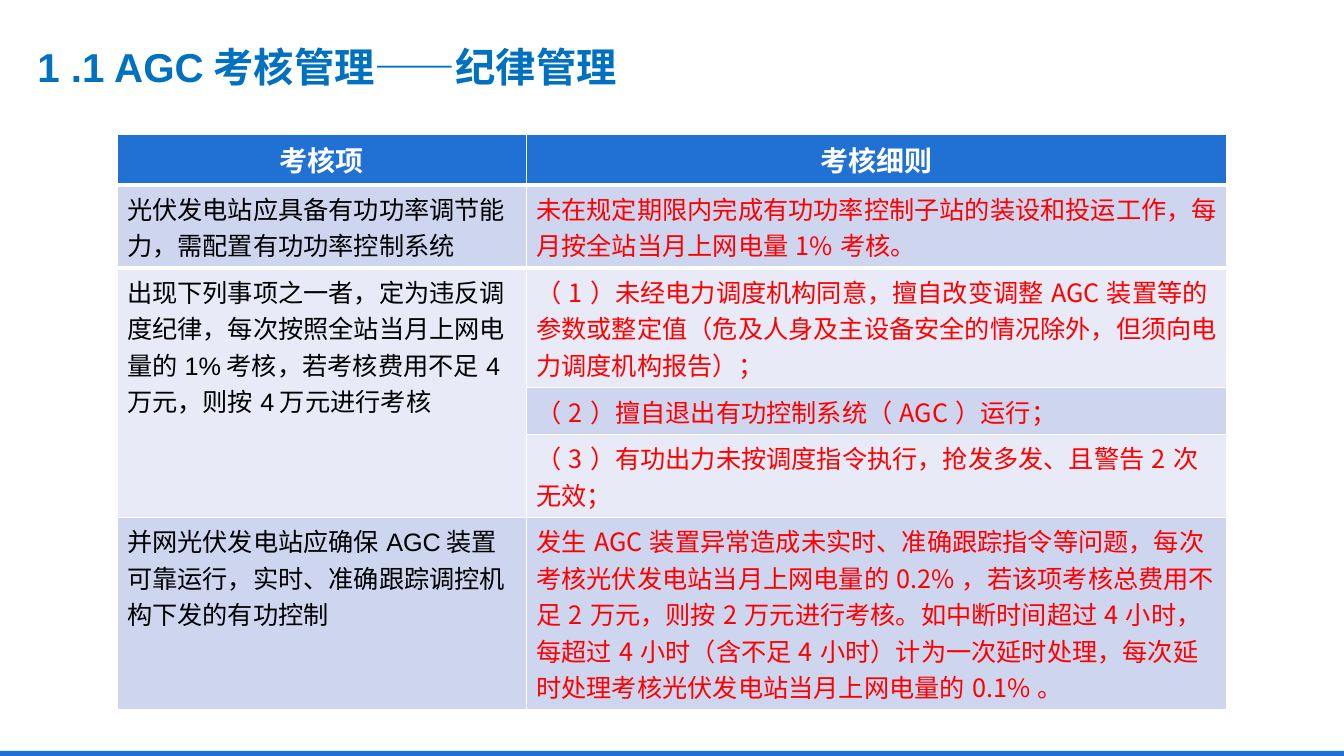
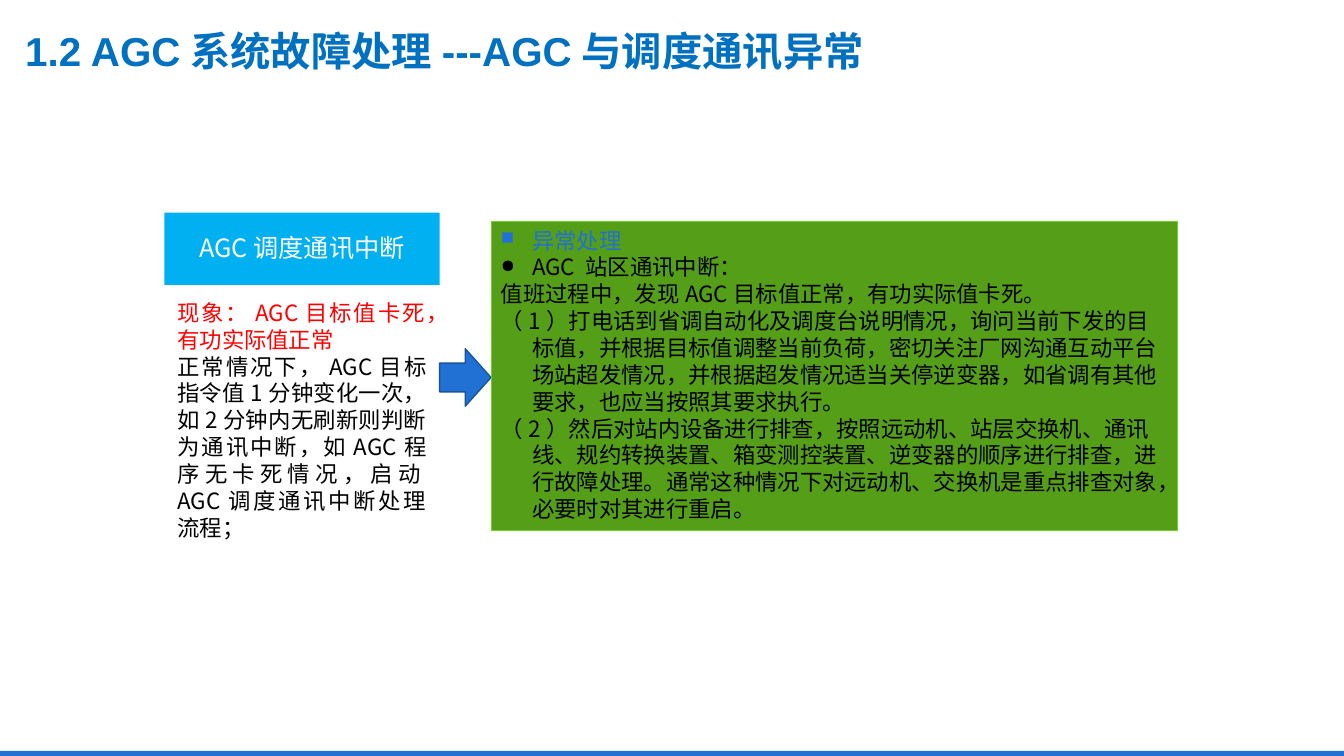
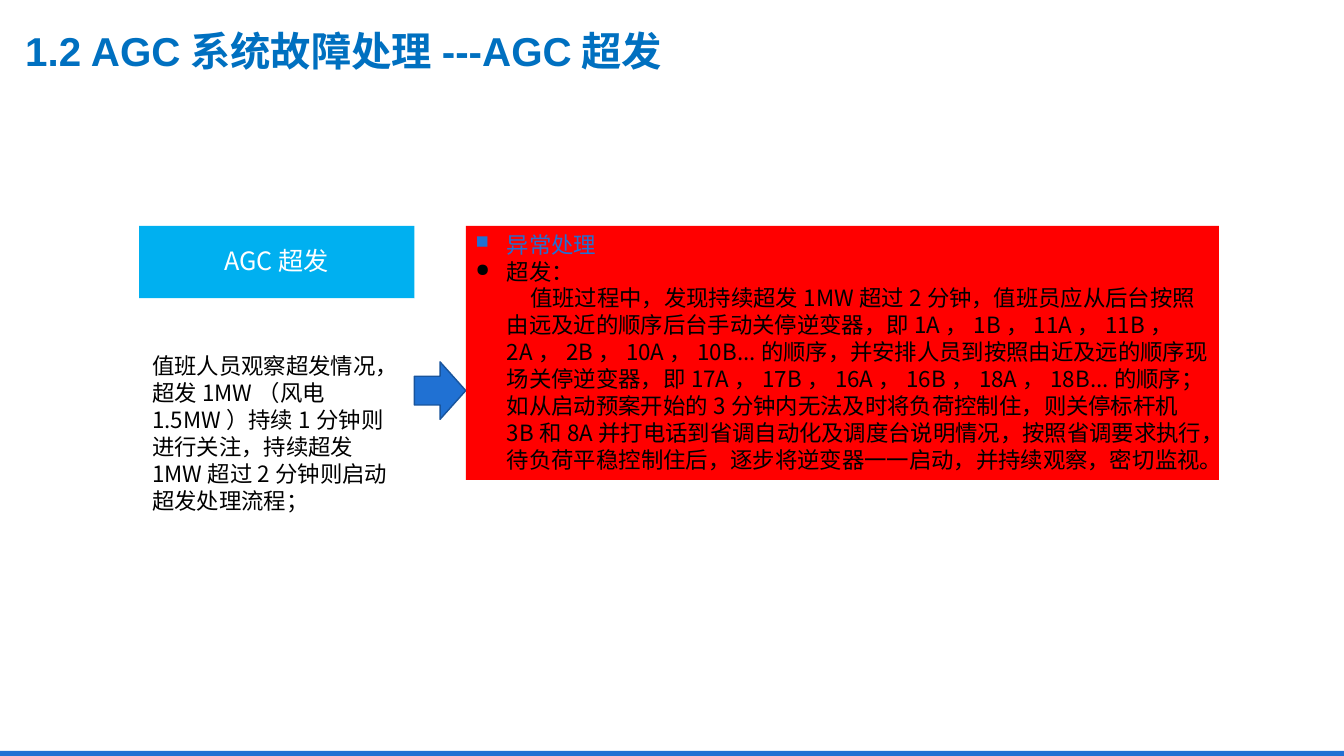
from dataclasses import dataclass

from lxml import etree
from pptx import Presentation
from pptx.dml.color import RGBColor
from pptx.enum.shapes import MSO_SHAPE
from pptx.enum.text import MSO_ANCHOR, MSO_AUTO_SIZE, PP_ALIGN
from pptx.oxml.ns import qn
from pptx.util import Inches, Pt

RECT = MSO_SHAPE.RECTANGLE
ARROW = MSO_SHAPE.RIGHT_ARROW
MIDDLE = MSO_ANCHOR.MIDDLE
TOP = MSO_ANCHOR.TOP
LEFT = PP_ALIGN.LEFT
CENTER = PP_ALIGN.CENTER
JUST = PP_ALIGN.JUSTIFY
FIXED = MSO_AUTO_SIZE.NONE


@dataclass(frozen=True)
class Theme:
    blue: str = "2071D3"
    navy: str = "18549C"
    title: str = "0070C0"
    cyan: str = "00B0F0"
    green: str = "559E18"
    lime: str = "71D320"
    red: str = "FF0000"
    black: str = "000000"
    white: str = "FFFFFF"
    dark: str = "CDD5EF"
    pale: str = "E8EBF7"
    latin: str = "Arial"
    han: str = "Noto Sans CJK SC"
    head: float = 28.8
    top: int = 20
    cell: int = 18
    body: int = 16
    hang: float = 0.31


THEME = Theme()


def put(frame, text, size=THEME.body, color=THEME.black, font=THEME.han,
        bold=False, align=LEFT, space=None, left=0, first=0, mark=None):
    para = frame.paragraphs[0]
    if para.runs:
        para = frame.add_paragraph()
    props = para._p.get_or_add_pPr()
    props.set("marL", str(Inches(left)))
    props.set("indent", str(Inches(first)))
    if mark:
        etree.SubElement(props, qn("a:buSzPct")).set("val", "80000")
        etree.SubElement(props, qn("a:buChar")).set("char", mark)
    else:
        etree.SubElement(props, qn("a:buNone"))
    para.alignment = align
    if space:
        para.line_spacing = space
    run = para.add_run()
    run.text = text
    run.font.size = Pt(size)
    run.font.bold = bold
    run.font.name = font
    run.font.color.rgb = RGBColor.from_string(color)
    style = run._r.get_or_add_rPr()
    style.set("lang", "zh-CN")
    etree.SubElement(style, qn("a:ea")).set("typeface", THEME.han)


def edge(cell, side, color, weight):
    props = cell._tc.get_or_add_tcPr()
    line = etree.Element(qn("a:" + side), w=str(Pt(weight)))
    fill = etree.SubElement(line, qn("a:solidFill"))
    etree.SubElement(fill, qn("a:srgbClr")).set("val", color)
    props.insert(0, line)


class Deck:
    def __init__(self, theme):
        self.theme = theme
        self.file = Presentation()
        self.file.slide_width = Inches(13.33)
        self.file.slide_height = Inches(7.5)
        self.base = self.file.slide_layouts[5]
        self.slide = None

    def page(self, title, x=0.25, y=0.24, high=0.52, pad=(0, 0), space=None):
        begin = self.slide is None
        self.slide = self.file.slides.add_slide(self.base)
        if begin:
            self.band()
        box = self.slide.shapes.title
        box.left, box.top = Inches(x), Inches(y)
        box.width, box.height = Inches(12.13), Inches(high)
        frame = self.frame(box, pad, MIDDLE)
        put(frame, title, size=self.theme.head, color=self.theme.title,
            font=self.theme.latin, bold=True, space=space)

    def band(self):
        bar = self.shape(0, 7.45, 13.33, 0.05, self.theme.blue)
        bar.element.nvSpPr.cNvPr.set("id", "99")
        self.base.shapes.element.append(bar.element)

    def frame(self, box, pad, anchor):
        frame = box.text_frame
        frame.word_wrap = True
        frame.auto_size = FIXED
        frame.vertical_anchor = anchor
        frame.margin_left = frame.margin_right = Inches(pad[0])
        frame.margin_top = frame.margin_bottom = Inches(pad[1])
        return frame

    def shape(self, x, y, wide, high, fill, line=None, weight=1, kind=RECT):
        item = self.slide.shapes.add_shape(
            kind, Inches(x), Inches(y), Inches(wide), Inches(high))
        item.shadow.inherit = False
        item.fill.solid()
        item.fill.fore_color.rgb = RGBColor.from_string(fill)
        if line:
            item.line.color.rgb = RGBColor.from_string(line)
            item.line.width = Pt(weight)
        else:
            item.line.fill.background()
        return item

    def panel(self, x, y, wide, high, fill, paras, pad=(0.1, 0.05),
              anchor=MIDDLE, line=None):
        item = self.shape(x, y, wide, high, fill, line, 0.75)
        frame = self.frame(item, pad, anchor)
        for text, style in paras:
            put(frame, text, **style)

    def flow(self, x, y, label, signs, steps, area, fill, line=None):
        t = self.theme
        wide, head = 2.73, 0.72
        self.panel(x, y, wide, head, t.cyan, [
            (label, dict(size=t.cell, color=t.white, align=CENTER,
                         space=0.9))])
        self.panel(x, y + head, wide, 2.67, t.white, signs, (0.13, 0.07))
        self.shape(x + wide, y + 1.35, 0.51, 0.57, t.blue, t.navy, kind=ARROW)
        top, broad, high = area
        lead = ("异常处理", dict(color=t.blue, mark="■", left=t.hang,
                             first=-t.hang))
        self.panel(x + wide + 0.51, top, broad, high, fill, [lead] + steps,
                   anchor=TOP, line=line)

    def table(self, x, y, cols, rows, cells, spans):
        t = self.theme
        grid = self.slide.shapes.add_table(
            len(rows), len(cols), Inches(x), Inches(y),
            Inches(sum(cols)), Inches(sum(rows))).table
        for col, wide in zip(grid.columns, cols):
            col.width = Inches(wide)
        for row, high in zip(grid.rows, rows):
            row.height = Inches(high)
        for r, texts in enumerate(cells):
            for c, text in enumerate(texts):
                cell = grid.cell(r, c)
                tint = t.blue if r == 0 else t.dark if r % 2 else t.pale
                cell.fill.solid()
                cell.fill.fore_color.rgb = RGBColor.from_string(tint)
                if r == 0:
                    edge(cell, "lnB", t.white, 3)
                elif r == 1:
                    edge(cell, "lnT", t.white, 3)
                if text is None:
                    continue
                if r == 0:
                    style = dict(size=t.top, color=t.white, font=t.latin,
                                 bold=True, align=CENTER)
                elif c == 0:
                    style = dict(size=t.cell, font=t.latin)
                else:
                    style = dict(size=t.cell, color=t.red)
                put(cell.text_frame, text, **style)
        for start, end in spans:
            grid.cell(*start).merge(grid.cell(*end))


def main():
    t = THEME
    deck = Deck(t)
    just = dict(align=JUST)
    step = dict(left=t.hang, first=-t.hang)
    dot = dict(step, mark="●")

    deck.page("1 .1 AGC考核管理——纪律管理", 0.27, 0.26, 0.7, (0.1, 0.05), 1.2)
    deck.table(1.16, 1.33, [4.06, 6.95], [0.49, 0.82, 1.19, 0.46, 0.82, 1.91], [
        ("考核项", "考核细则"),
        ("光伏发电站应具备有功功率调节能力，需配置有功功率控制系统",
         "未在规定期限内完成有功功率控制子站的装设和投运工作，"
         "每月按全站当月上网电量1%考核。"),
        ("出现下列事项之一者，定为违反调度纪律，每次按照全站当月上网电量的1%考核，"
         "若考核费用不足4万元，则按4万元进行考核",
         "（1）未经电力调度机构同意，擅自改变调整AGC装置等的参数或整定值"
         "（危及人身及主设备安全的情况除外，但须向电力调度机构报告）；"),
        (None, "（2）擅自退出有功控制系统（AGC）运行；"),
        (None, "（3）有功出力未按调度指令执行，抢发多发、且警告2次无效；"),
        ("并网光伏发电站应确保AGC装置可靠运行，实时、准确跟踪调控机构下发的有功控制",
         "发生AGC装置异常造成未实时、准确跟踪指令等问题，"
         "每次考核光伏发电站当月上网电量的0.2%，若该项考核总费用不足2万元，"
         "则按2万元进行考核。如中断时间超过4小时，每超过4小时（含不足4小时）"
         "计为一次延时处理，每次延时处理考核光伏发电站当月上网电量的0.1%。"),
    ], [((2, 0), (4, 0))])

    deck.page("1.2 AGC系统故障处理---AGC与调度通讯异常")
    deck.flow(1.63, 2.11, "AGC调度通讯中断", [
        ("现象：AGC目标值卡死，有功实际值正常", dict(just, color=t.red)),
        ("正常情况下，AGC目标指令值1分钟变化一次，如2分钟内无刷新则判断为通讯中断，"
         "如AGC程序无卡死情况，启动AGC调度通讯中断处理流程；", just),
    ], [
        ("AGC 站区通讯中断：", dot),
        ("值班过程中，发现AGC目标值正常，有功实际值卡死。", step),
        ("（1）打电话到省调自动化及调度台说明情况，询问当前下发的目标值，"
         "并根据目标值调整当前负荷，密切关注厂网沟通互动平台场站超发情况，"
         "并根据超发情况适当关停逆变器，如省调有其他要求，也应当按照其要求执行。", step),
        ("（2）然后对站内设备进行排查，按照远动机、站层交换机、通讯线、规约转换装置、"
         "箱变测控装置、逆变器的顺序进行排查，进行故障处理。"
         "通常这种情况下对远动机、交换机是重点排查对象，必要时对其进行重启。", step),
    ], (2.2, 6.81, 3.06), t.green, t.lime)

    deck.page("1.2 AGC系统故障处理---AGC超发")
    deck.flow(1.38, 2.24, "AGC超发", [
        ("值班人员观察超发情况，超发1MW（风电1.5MW）持续1分钟则进行关注，"
         "持续超发1MW超过2分钟则启动超发处理流程；", {}),
    ], [
        ("超发：", dot),
        ("值班过程中，发现持续超发1MW超过2分钟，"
         "值班员应从后台按照由远及近的顺序后台手动关停逆变器，"
         "即1A，1B，11A，11B，2A，2B，10A，10B...的顺序，"
         "并安排人员到按照由近及远的顺序现场关停逆变器，"
         "即17A，17B，16A，16B，18A，18B...的顺序；"
         "如从启动预案开始的3分钟内无法及时将负荷控制住，"
         "则关停标杆机3B和8A并打电话到省调自动化及调度台说明情况，"
         "按照省调要求执行，待负荷平稳控制住后，逐步将逆变器一一启动，"
         "并持续观察，密切监视。", dict(step, first=0.23)),
    ], (2.24, 7.47, 2.52), t.red)

    deck.file.save("out.pptx")


if __name__ == "__main__":
    main()
